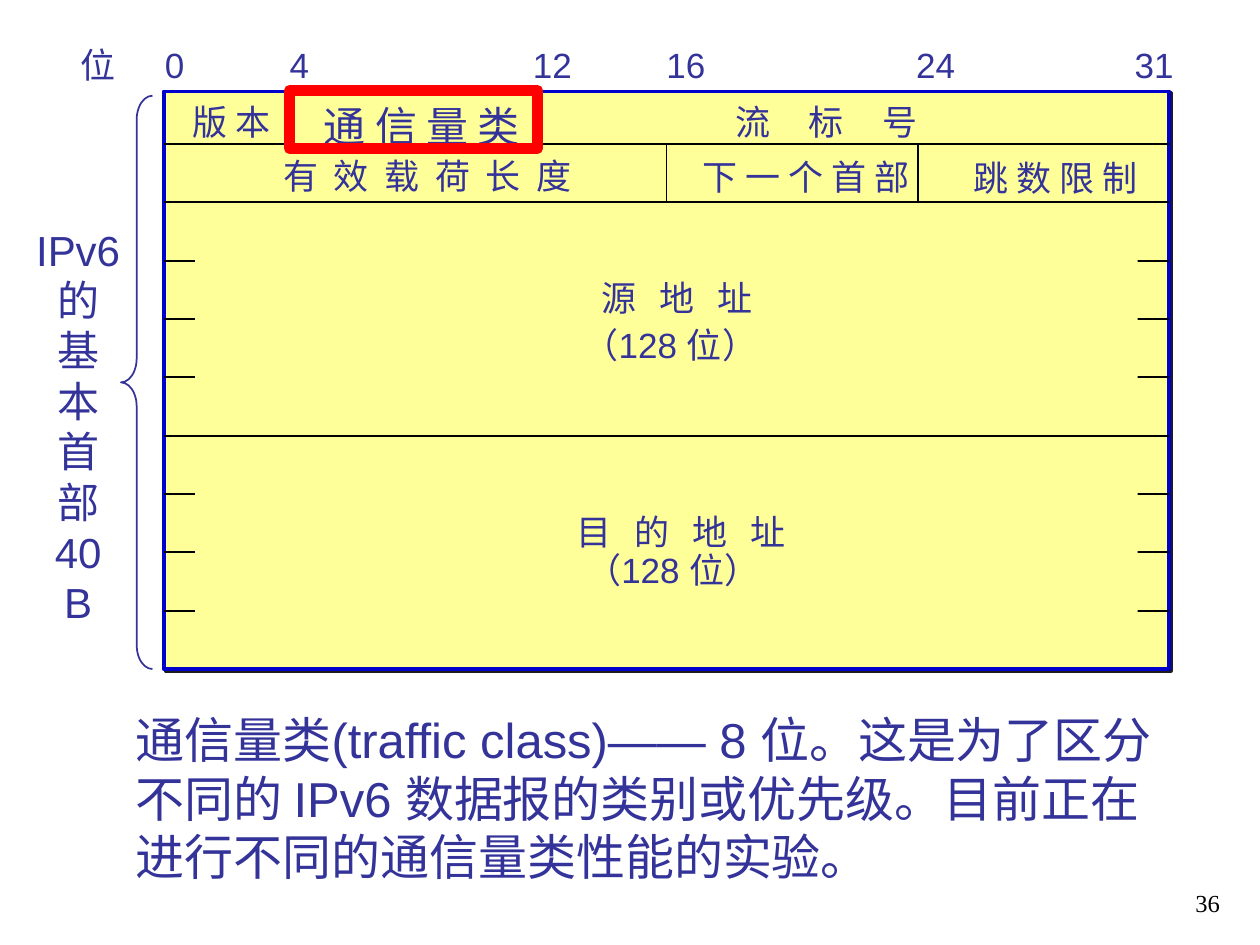
from collections import namedtuple
from lxml.etree import SubElement
from pptx import Presentation
from pptx.dml.color import RGBColor
from pptx.enum.shapes import MSO_CONNECTOR, MSO_SHAPE
from pptx.enum.text import MSO_ANCHOR, MSO_AUTO_SIZE, PP_ALIGN
from pptx.oxml.ns import qn
from pptx.util import Inches, Pt

INK = RGBColor(0x33, 0x33, 0x99)
BLACK = RGBColor(0, 0, 0)
CREAM = RGBColor(0xFF, 0xFF, 0x99)
BLUE = RGBColor(0, 0, 0xCC)
RED = RGBColor(0xFF, 0, 0)

BITS, ROWS = 32, 10
TEXT = {"size": Pt(20), "name": "Arial"}
FRAME = {"word_wrap": False, "auto_size": MSO_AUTO_SIZE.SHAPE_TO_FIT_TEXT}

SCALE = [("0", -0.36, 0.35), ("4", 3.61, 0.35), ("12", 11.35, 0.51),
         ("16", 15.6, 0.51), ("24", 23.55, 0.51), ("31", 30.5, 0.51),
         ("位", -3.05, 0.48)]
FIELDS = [("版 本", 0.52, 0.14, 3.29, 20, 0),
          ("通 信 量 类", 4.7, 0.14, 7.07, 24, 0),
          ("流 标 号", 17.79, 0.14, 6.67, 20, 8.8),
          ("有 效 载 荷 长 度", 3.41, 1.07, 10, 20, 2.2),
          ("下 一 个 首 部", 16.75, 1.09, 7.39, 20, 0),
          ("跳 数 限 制", 25.38, 1.11, 6.02, 20, 0),
          ("源 地 址", 13.53, 3.17, 5.66, 20, 4.4),
          ("（128 位）", 12.97, 3.97, 6.87, 20, 0),
          ("目 的 地 址", 12.73, 7.17, 7.51, 20, 4.4),
          ("（128 位）", 13.05, 7.82, 6.87, 20, 0)]
NOTE = ("通信量类(traffic class)—— 8 位。这是为了区分不同的 IPv6 数据报的类别"
        "或优先级。目前正在进行不同的通信量类性能的实验。")

Box = namedtuple("Box", "x y w h")


def style(item, form):
    """Set attributes of an item from a dict of format values."""
    for key, value in form.items():
        setattr(item, key, value)


def cell(box, col, row, wide=0, high=0):
    """Turn columns and rows of the header grid into a box in inches."""
    bit, step = box.w / BITS, box.h / ROWS
    return Box(box.x + col * bit, box.y + row * step, wide * bit, high * step)


def label(slide, text, box, font=None, align=PP_ALIGN.LEFT, frame=None, gap=0):
    """Add a text box, one paragraph for each line, with letter gaps in points."""
    body = slide.shapes.add_textbox(*map(Inches, box)).text_frame
    style(body, {**FRAME, **(frame or {})})
    body.text = text
    for para in body.paragraphs:
        para.alignment = align
        for run in para.runs:
            run.font.color.rgb = INK
            style(run.font, {**TEXT, **(font or {})})
            if gap:
                run.font._element.set("spc", str(round(gap * 100)))
    return body


def block(slide, kind, box, fill=None, line=None, width=1):
    """Add a preset shape with a plain fill and outline."""
    shape = slide.shapes.add_shape(kind, *map(Inches, box))
    shape.shadow.inherit = False
    if fill is None:
        shape.fill.background()
    else:
        shape.fill.solid()
        shape.fill.fore_color.rgb = fill
    if line is None:
        shape.line.fill.background()
    else:
        shape.line.color.rgb = line
        shape.line.width = Pt(width)
    return shape


def rule(slide, start, end):
    """Draw a thin black line between two boxes' corners."""
    ends = map(Inches, (start.x, start.y, end.x, end.y))
    line = slide.shapes.add_connector(MSO_CONNECTOR.STRAIGHT, *ends)
    line.line.color.rgb = BLACK
    line.line.width = Pt(1)
    SubElement(line._element.spPr, qn("a:effectLst"))


def shade(shape):
    """Give a shape a short, hard shadow to the lower right."""
    root = shape._element.spPr.find(qn("a:effectLst"))
    cast = SubElement(root, qn("a:outerShdw"), dist=str(Pt(1.4)),
                      dir="2700000", algn="ctr", rotWithShape="0")
    SubElement(cast, qn("a:srgbClr"), val="1C1C1C")


def scale(slide, box):
    """Place the bit numbers above the header."""
    for text, col, wide in SCALE:
        left = cell(box, col, 0).x
        label(slide, text, Box(left, box.y - 0.38, wide, 0.43))


def header(slide, box):
    """Draw the header grid, its fields and the marked field."""
    trim = 0.1
    back = cell(box, 0, trim, BITS, ROWS - trim)
    shade(block(slide, MSO_SHAPE.RECTANGLE, back, CREAM, BLUE, 2.25))
    for row in range(1, ROWS):
        rule(slide, cell(box, 0, row), cell(box, BITS, row))
    for col, top, end in ((4, trim, 1), (12, trim, 1), (16, 1, 2), (24, 1, 2)):
        rule(slide, cell(box, col, top), cell(box, col, end))
    for row in (2.67, 6.67):
        block(slide, MSO_SHAPE.RECTANGLE, cell(box, 1, row, 30, 2.67), CREAM)
    for text, col, row, wide, size, gap in FIELDS:
        high = 0.93 if size == 20 else 1.08
        label(slide, text, cell(box, col, row, wide, high),
              {"size": Pt(size)}, gap=gap)
    block(slide, MSO_SHAPE.RECTANGLE, cell(box, 4, 0.08, 7.9, 1), None, RED, 6)


def side(slide, box):
    """Place the brace and the stacked caption left of the header."""
    brace = block(slide, MSO_SHAPE.LEFT_BRACE,
                  Box(box.x + box.w - 0.25, box.y, 0.25, box.h), None, INK)
    brace.adjustments[0] = 0.76
    label(slide, "IPv6\n的\n基\n本\n首\n部\n40 B",
          Box(box.x, box.y + 0.97, 0.88, 3.3), {"size": Pt(24)},
          PP_ALIGN.CENTER)


def foot(slide, box):
    """Place the note and the slide number."""
    label(slide, NOTE, Box(box.x, box.y, 8.45, 1.5), {"size": Pt(28)},
          frame={"word_wrap": True})
    page = label(slide, "36", Box(box.x + box.w - 2.08, box.y + 1.25, 2.08, 0.5),
                 {"size": Pt(14), "name": "Times New Roman"}, PP_ALIGN.RIGHT,
                 {"word_wrap": True, "auto_size": MSO_AUTO_SIZE.NONE,
                  "vertical_anchor": MSO_ANCHOR.BOTTOM})
    page.paragraphs[0].runs[0].font.color.rgb = BLACK


def main():
    """Build the slide and save it."""
    deck = Presentation()
    style(deck, {"slide_width": Inches(10), "slide_height": Inches(7.5)})
    slide = deck.slides.add_slide(deck.slide_layouts[6])
    grid = Box(1.3, 0.68, 7.98, 4.63)
    header(slide, grid)
    scale(slide, grid)
    side(slide, Box(0.18, 0.76, 1.03, 4.55))
    foot(slide, Box(0.98, 5.58, 8.8, 1.75))
    deck.save("out.pptx")


if __name__ == "__main__":
    main()
